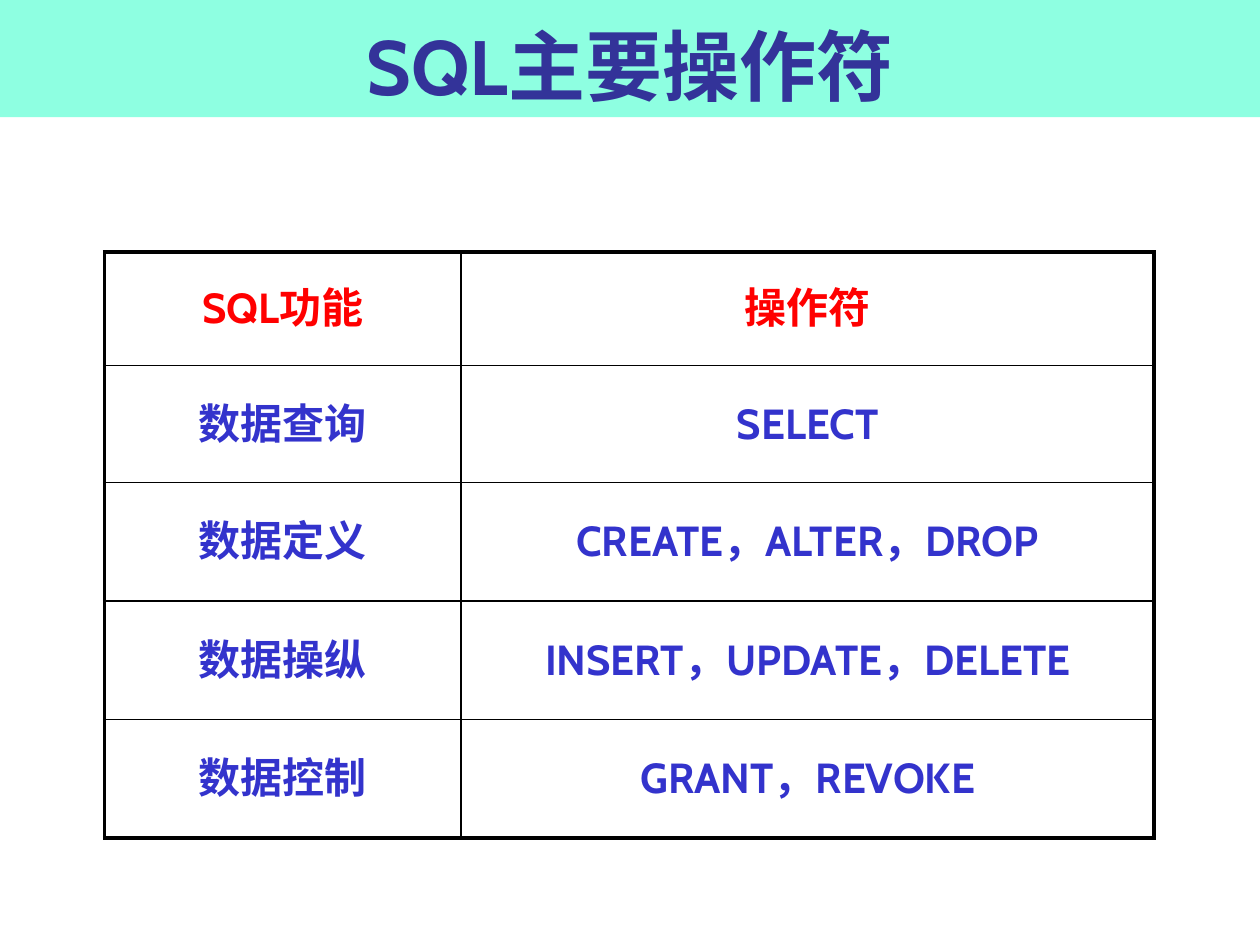
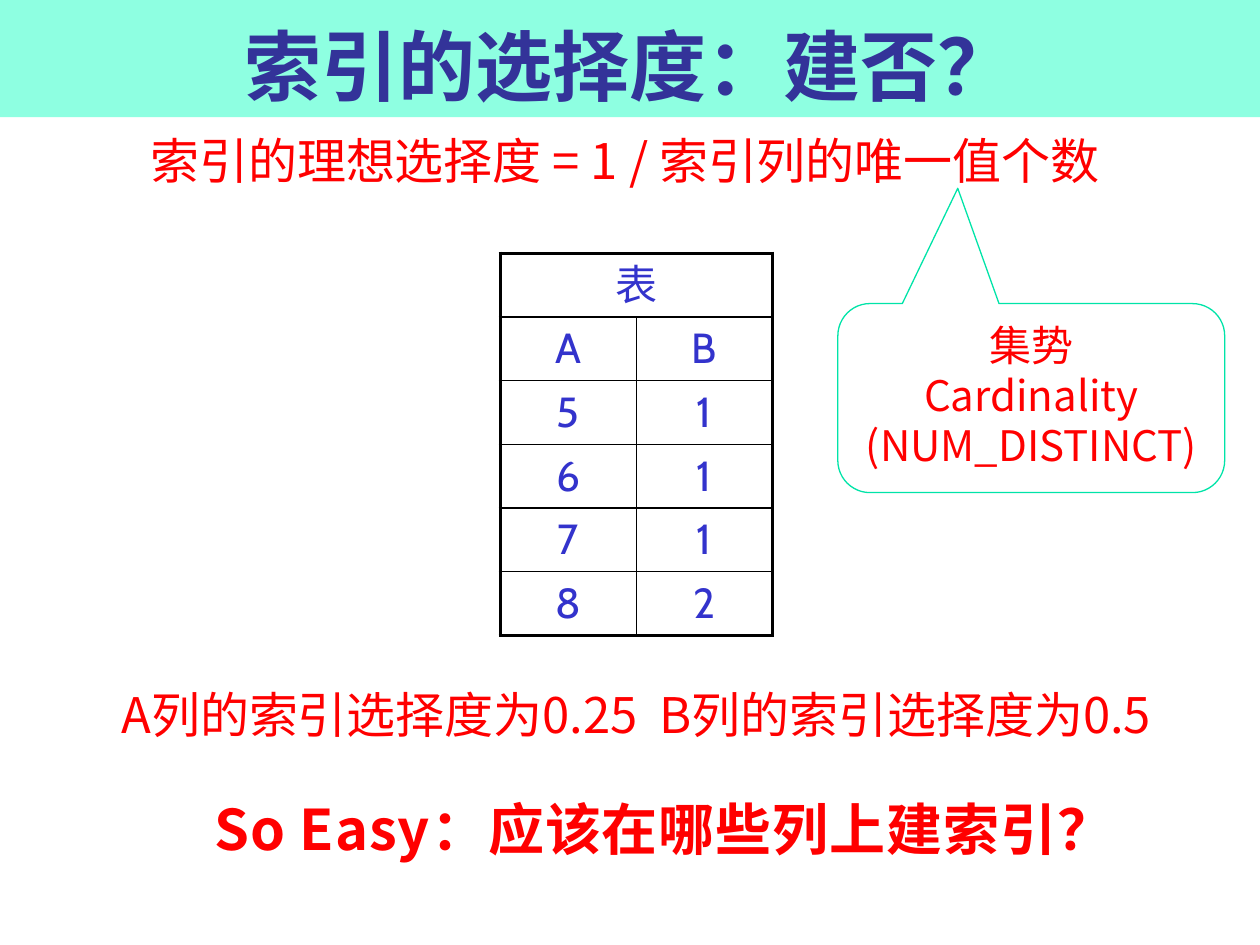
from dataclasses import dataclass

import pptx
import pptx.dml.color
import pptx.enum.shapes
import pptx.enum.text
import pptx.oxml.ns
import pptx.util
from lxml import etree
from pptx.util import Inches

HEADING_FONT = "Cabin"
BODY_FONT = "Noto Sans CJK JP"
BAND = "8EFFE1"
NAVY = "333399"
BLUE = "3333CC"
RED = "FF0000"
BLACK = "000000"
MINT = "00E4A8"
OUTER_BORDER = 2.25
INNER_BORDER = 1


@dataclass(frozen=True)
class Style:
    font: str
    size: float
    color: str
    bold: bool = False
    tracking: int = 0


@dataclass(frozen=True)
class Area:
    left: float
    top: float
    width: float
    height: float

    def lengths(self) -> tuple:
        return tuple(map(Inches, (self.left, self.top, self.width, self.height)))


@dataclass(frozen=True)
class Note:
    area: Area
    text: str
    style: Style
    hanging: float = 0


@dataclass(frozen=True)
class Grid:
    area: Area
    columns: tuple
    row_heights: tuple
    rows: tuple
    header: Style
    body: Style
    anchor: pptx.enum.text.MSO_ANCHOR


TITLE = Style(HEADING_FONT, 44, NAVY, True)
STATEMENT = Style(BODY_FONT, 28, RED)
CALLOUT = Style(BODY_FONT, 24, RED)
QUESTION = Style(BODY_FONT, 32, RED, True, 50)
VALUE = Style(HEADING_FONT, 24, BLUE)

OPERATORS = Grid(
    Area(0.83, 2, 8.33, 4.64),
    (2.83, 5.5),
    (0.9, 0.93, 0.94, 0.94, 0.94),
    (
        ("SQL功能", "操作符"),
        ("数据查询", "SELECT"),
        ("数据定义", "CREATE，ALTER，DROP"),
        ("数据操纵", "INSERT，UPDATE，DELETE"),
        ("数据控制", "GRANT，REVOKE"),
    ),
    Style(HEADING_FONT, 24, RED, True),
    Style(HEADING_FONT, 24, BLUE, True),
    pptx.enum.text.MSO_ANCHOR.MIDDLE,
)

SAMPLE = Grid(
    Area(3.97, 2.01, 2.15, 3),
    (1.08, 1.08),
    (0.34,) * 6,
    (("表",), ("A", "B"), ("5", "1"), ("6", "1"), ("7", "1"), ("8", "2")),
    VALUE,
    VALUE,
    pptx.enum.text.MSO_ANCHOR.TOP,
)

NOTES = (
    Note(Area(-0.04, 0.99, 10, 0.57), "索引的理想选择度 = 1 / 索引列的唯一值个数", STATEMENT),
    Note(Area(1.48, 6.26, 7.14, 0.64), "So Easy：应该在哪些列上建索引？", QUESTION),
    Note(Area(0.8, 5.38, 8.5, 0.57), "A列的索引选择度为0.25  B列的索引选择度为0.5", STATEMENT, 0.38),
)


def rgb(color: str) -> pptx.dml.color.RGBColor:
    return pptx.dml.color.RGBColor.from_string(color)


def add_child(parent, tag: str, **attributes: str):
    child = etree.SubElement(parent, pptx.oxml.ns.qn(tag))
    for name, value in attributes.items():
        child.set(name, value)
    return child


def write(para, text: str, style: Style) -> None:
    para.alignment = pptx.enum.text.PP_ALIGN.CENTER
    span = para.add_run()
    span.text = text
    span.font.name = style.font
    span.font.size = pptx.util.Pt(style.size)
    span.font.bold = style.bold
    span.font.color.rgb = rgb(style.color)
    properties = span.font._element
    add_child(properties, "a:ea", typeface=style.font)
    if style.tracking:
        properties.set("spc", str(style.tracking))


def add_title(page, text: str) -> None:
    box = page.shapes.add_shape(
        pptx.enum.shapes.MSO_SHAPE.RECTANGLE, *Area(0, 0, 10, 0.93).lengths()
    )
    box.shadow.inherit = False
    box.fill.solid()
    box.fill.fore_color.rgb = rgb(BAND)
    box.line.fill.background()
    box.text_frame.word_wrap = True
    box.text_frame.vertical_anchor = pptx.enum.text.MSO_ANCHOR.BOTTOM
    write(box.text_frame.paragraphs[0], text, TITLE)


def add_note(page, note: Note) -> None:
    box = page.shapes.add_textbox(*note.area.lengths())
    box.text_frame.word_wrap = True
    para = box.text_frame.paragraphs[0]
    write(para, note.text, note.style)
    if note.hanging:
        properties = para._p.get_or_add_pPr()
        properties.set("marL", str(Inches(note.hanging)))
        properties.set("indent", str(-Inches(note.hanging)))


def add_callout(page, area: Area, lines: tuple) -> None:
    box = page.shapes.add_shape(
        pptx.enum.shapes.MSO_SHAPE.ROUNDED_RECTANGULAR_CALLOUT, *area.lengths()
    )
    for index, value in enumerate((-0.19, -1.11, 0.17)):
        box.adjustments[index] = value
    box.shadow.inherit = False
    box.fill.background()
    box.line.color.rgb = rgb(MINT)
    box.line.width = pptx.util.Pt(0.75)
    frame = box.text_frame
    frame.word_wrap = True
    frame.vertical_anchor = pptx.enum.text.MSO_ANCHOR.TOP
    for index, line in enumerate(lines):
        para = frame.add_paragraph() if index else frame.paragraphs[0]
        write(para, line, CALLOUT)


def set_borders(cell, outer_sides: dict) -> None:
    properties = cell._tc.get_or_add_tcPr()
    for position, (side, is_outer) in enumerate(outer_sides.items()):
        width = pptx.util.Pt(OUTER_BORDER if is_outer else INNER_BORDER)
        line = add_child(properties, f"a:ln{side}", w=str(width))
        add_child(add_child(line, "a:solidFill"), "a:srgbClr", val=BLACK)
        properties.insert(position, line)


def add_grid(page, grid: Grid) -> None:
    last_row, last_column = len(grid.rows) - 1, len(grid.columns) - 1
    table = page.shapes.add_table(
        last_row + 1, last_column + 1, *grid.area.lengths()
    ).table
    table.first_row = table.horz_banding = False
    for column, width in zip(table.columns, grid.columns):
        column.width = Inches(width)
    for row, height in zip(table.rows, grid.row_heights):
        row.height = Inches(height)
    for row_index, texts in enumerate(grid.rows):
        if len(texts) == 1:
            table.cell(row_index, 0).merge(table.cell(row_index, last_column))
        for column_index in range(last_column + 1):
            cell = table.cell(row_index, column_index)
            cell.fill.background()
            cell.vertical_anchor = grid.anchor
            set_borders(cell, {
                "L": column_index == 0,
                "R": column_index == last_column or len(texts) == 1,
                "T": row_index == 0,
                "B": row_index == last_row,
            })
            if column_index < len(texts):
                style = grid.body if row_index else grid.header
                write(cell.text_frame.paragraphs[0], texts[column_index], style)


def add_page(deck, title: str):
    page = deck.slides.add_slide(deck.slide_layouts[6])
    add_title(page, title)
    return page


def main() -> None:
    deck = pptx.Presentation()
    deck.slide_width, deck.slide_height = Inches(10), Inches(7.5)

    operators_page = add_page(deck, "SQL主要操作符")
    add_grid(operators_page, OPERATORS)

    selectivity_page = add_page(deck, "索引的选择度：建否？")
    add_grid(selectivity_page, SAMPLE)
    for note in NOTES:
        add_note(selectivity_page, note)
    add_callout(
        selectivity_page,
        Area(6.65, 2.41, 3.07, 1.5),
        ("集势", "Cardinality", "(NUM_DISTINCT)"),
    )
    deck.save("out.pptx")


if __name__ == "__main__":
    main()
